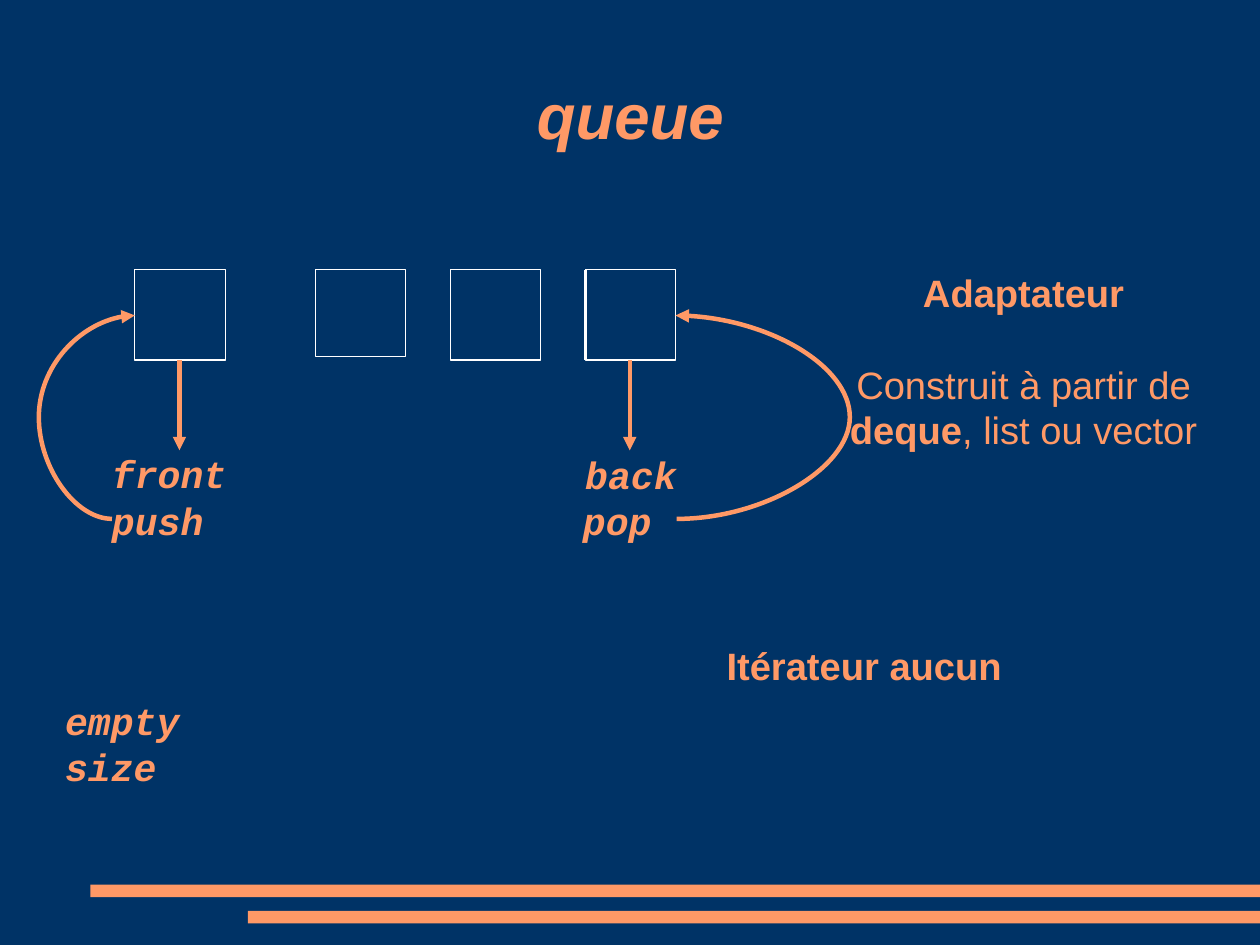
from dataclasses import dataclass

from lxml import etree
from pptx import Presentation
from pptx.dml.color import RGBColor
from pptx.enum import shapes, text
from pptx.oxml import ns
from pptx.util import Cm, Inches, Pt


@dataclass(frozen=True)
class Theme:
    navy: RGBColor = RGBColor(0x00, 0x33, 0x66)
    orange: RGBColor = RGBColor(0xFF, 0x99, 0x66)
    white: RGBColor = RGBColor(0xFF, 0xFF, 0xFF)
    sans: str = "Arial"
    mono: str = "Courier New"
    title: Pt = Pt(40)
    body: Pt = Pt(24)


theme = Theme()


def write(box, lines, font, size, italic=False, align=text.PP_ALIGN.LEFT, wrap=True):
    """Fill a box with one bold paragraph per line, without margins."""
    frame = box.text_frame
    frame.text = "\n".join(lines)
    frame.word_wrap = wrap
    frame.auto_size = text.MSO_AUTO_SIZE.NONE
    frame.margin_left = frame.margin_right = frame.margin_top = frame.margin_bottom = 0
    for para in frame.paragraphs:
        para.alignment = align
        for span in para.runs:
            span.font.name, span.font.size = font, size
            span.font.bold, span.font.italic = True, italic
            span.font.color.rgb = theme.orange
    return frame


def connect(kind, start, end, color, width, arrow=None, bend=None):
    """Draw a connector; arrow is headEnd or tailEnd, bend the share of the width."""
    line = page.shapes.add_connector(kind, *map(Inches, start + end))
    line.line.color.rgb = color
    line.line.width = width
    properties = line._element.spPr
    if arrow:
        etree.SubElement(line.line._get_or_add_ln(), ns.qn("a:" + arrow), type="triangle")
    if bend is not None:
        guides = properties.find(ns.qn("a:prstGeom")).get_or_add_avLst()
        etree.SubElement(guides, ns.qn("a:gd"), name="adj1", fmla=f"val {round(bend * 100000)}")
    etree.SubElement(properties, ns.qn("a:effectLst"))


deck = Presentation()
deck.slide_width, deck.slide_height = Cm(28), Cm(21)
page = deck.slides.add_slide(deck.slide_layouts[5])
page.background.fill.solid()
page.background.fill.fore_color.rgb = theme.navy

# Footer bars run to the right edge
for left, top in ((0.79, 7.74), (2.17, 7.97)):
    bar = page.shapes.add_shape(shapes.MSO_SHAPE.RECTANGLE, Inches(left), Inches(top),
                                deck.slide_width - Inches(left), Inches(0.11))
    bar.shadow.inherit = False
    bar.fill.solid()
    bar.fill.fore_color.rgb = theme.orange
    bar.line.fill.background()

title = page.shapes.title
title.left, title.top, title.width, title.height = map(Inches, (0.81, 0.31, 9.41, 1.38))
frame = write(title, ["queue"], theme.sans, theme.title, True, text.PP_ALIGN.CENTER)
frame.vertical_anchor = text.MSO_ANCHOR.MIDDLE

# Queue cells
for left, height in ((1.18, 0.79), (2.76, 0.76), (3.94, 0.79), (5.12, 0.79)):
    cell = page.shapes.add_shape(shapes.MSO_SHAPE.RECTANGLE, Inches(left), Inches(2.36),
                                 Inches(0.79), Inches(height))
    cell.shadow.inherit = False
    cell.fill.background()
    cell.line.color.rgb = theme.white
    cell.line.width = Pt(0)
straight, curve = shapes.MSO_CONNECTOR.STRAIGHT, shapes.MSO_CONNECTOR.CURVE
connect(straight, (5.12, 2.36), (5.12, 3.15), theme.white, Pt(0))

# Arrows from the end cells to their operations, and back
for x in (1.57, 5.51):
    connect(straight, (x, 3.15), (x, 3.94), theme.orange, Pt(2.83), "tailEnd")
connect(curve, (0.98, 4.54), (1.18, 2.76), theme.orange, Pt(2.83), "tailEnd", -3.2)
connect(curve, (5.91, 2.76), (5.92, 4.54), theme.orange, Pt(2.83), "headEnd", 155)

# Operation names
for left, top, width, height, names in (
    (0.98, 3.94, 1, 0.38, ["front"]),
    (0.98, 4.35, 1, 0.38, ["push"]),
    (5.12, 3.95, 0.8, 0.38, ["back"]),
    (5.1, 4.35, 0.8, 0.38, ["pop"]),
    (0.57, 6.1, 1, 1.14, ["empty", "size"]),
):
    label = page.shapes.add_textbox(*map(Inches, (left, top, width, height)))
    write(label, names, theme.mono, theme.body, italic=True, wrap=False)

iterator = page.shapes.add_textbox(*map(Inches, (4.72, 5.62, 5.68, 0.74)))
write(iterator, ["Itérateur aucun"], theme.sans, theme.body, align=text.PP_ALIGN.CENTER)

adapter = page.shapes.add_textbox(*map(Inches, (7.28, 2.36, 3.35, 1.86)))
frame = write(adapter, ["Adaptateur", "Construit à partir de "], theme.sans, theme.body,
              align=text.PP_ALIGN.CENTER)
para = frame.paragraphs[1]
para.space_before = Pt(28.8)
para.runs[0].font.bold = False
for words, bold in (("deque", True), (", list ou vector", False)):
    span = para.add_run()
    span.text = words
    span.font.name, span.font.size, span.font.bold = theme.sans, theme.body, bold
    span.font.color.rgb = theme.orange

deck.save("out.pptx")
